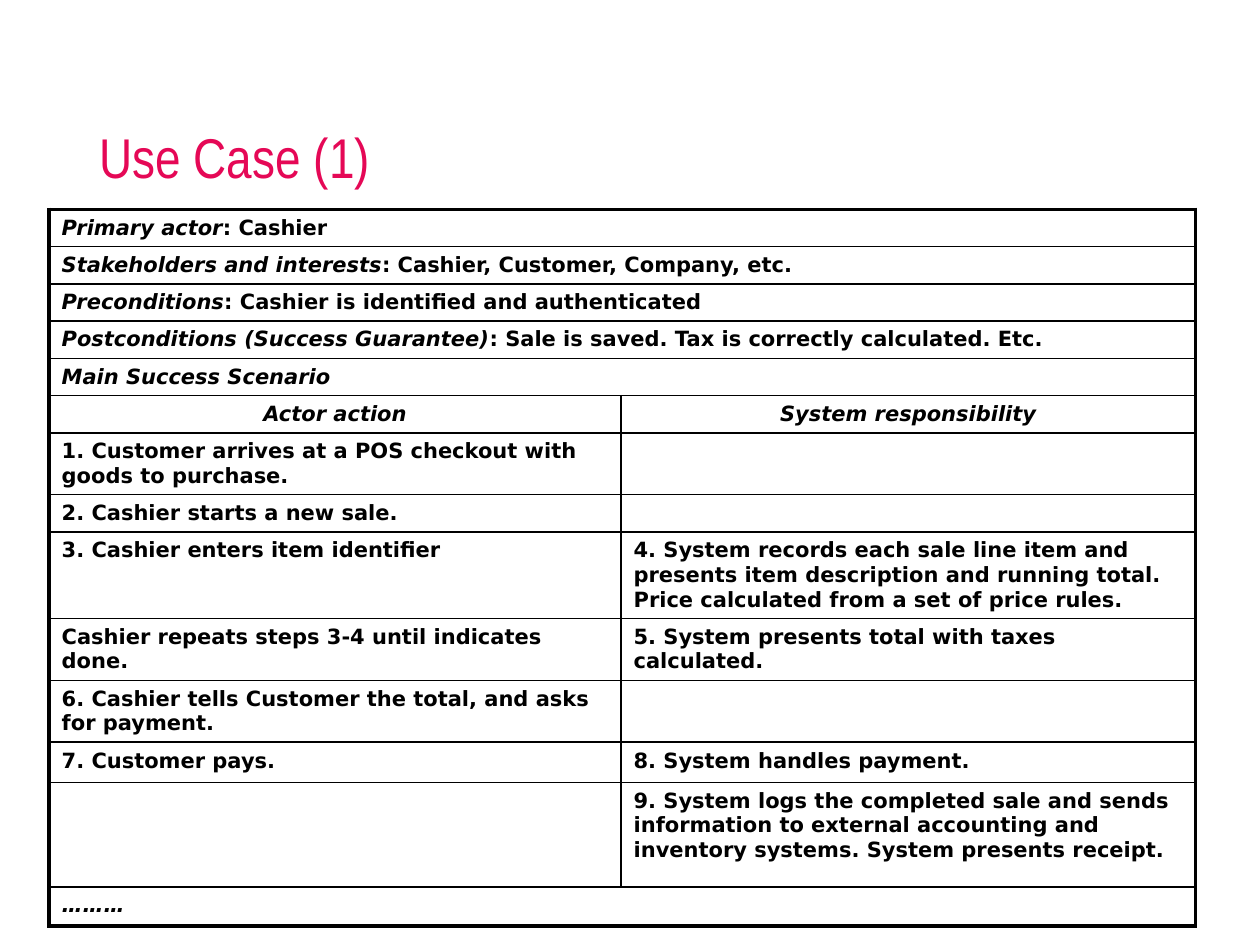
from lxml import etree
from pptx import Presentation
from pptx import util as u
from pptx.dml.color import RGBColor
from pptx.enum import text
from pptx.oxml import ns

PINK = RGBColor(0xE5, 0x08, 0x56)
BLACK = RGBColor(0, 0, 0)
WHITE = RGBColor(0xFF, 0xFF, 0xFF)
TITLE_FONT, TABLE_FONT = "Arial Narrow", "DejaVu Sans"
TEXT_SIZE, TEXT_GAP = u.Pt(12), u.Pt(2.4)
OUTER, INNER = u.Pt(2.25), u.Pt(1)

# Facts span both columns: (italic label, plain remainder)
FACTS = [
    ("Primary actor", ": Cashier"),
    ("Stakeholders and interests", ": Cashier, Customer, Company, etc."),
    ("Preconditions", ": Cashier is identified and authenticated"),
    ("Postconditions (Success Guarantee)",
     ": Sale is saved. Tax is correctly calculated. Etc."),
    ("Main Success Scenario", ""),
]
HEADINGS = ("Actor action", "System responsibility")
# Steps: (actor action, system responsibility, row height in cm)
STEPS = [
    ("1. Customer arrives at a POS checkout with goods to purchase.", "", 1.17),
    ("2. Cashier starts a new sale.", "", 0.74),
    ("3. Cashier enters item identifier",
     "4. System records each sale line item and presents item description "
     "and running total. Price calculated from a set of price rules.", 1.65),
    ("Cashier repeats steps 3-4 until indicates done.",
     "5. System presents total with taxes calculated.", 1.17),
    ("6. Cashier tells Customer the total, and asks for payment.", "", 1.17),
    ("7. Customer pays.", "8. System handles payment.", 0.81),
    ("", "9. System logs the completed sale and sends information to external "
     "accounting and inventory systems. System presents receipt.", 2.11),
]
CLOSING = ("………", "")
FACT_HEIGHT, CLOSING_HEIGHT = 0.71, 0.79


def add_title(slide, left, top, width, height):
    sp = slide.shapes.title
    sp.left, sp.top, sp.width, sp.height = left, top, width, height
    tf = sp.text_frame
    tf.text = "Use Case (1)"
    tf.auto_size = text.MSO_AUTO_SIZE.NONE
    tf.vertical_anchor = text.MSO_ANCHOR.BOTTOM
    p = tf.paragraphs[0]
    p.alignment = text.PP_ALIGN.LEFT
    p.line_spacing = 0.9
    p.font.name, p.font.size, p.font.color.rgb = TITLE_FONT, u.Pt(32), PINK


def write_cell(cell, label="", plain="", align=text.PP_ALIGN.LEFT):
    """Write an italic label followed by upright text, all bold."""
    p = cell.text_frame.paragraphs[0]
    p.alignment = align
    p.space_before = TEXT_GAP
    p.font.name, p.font.size, p.font.bold = TABLE_FONT, TEXT_SIZE, True
    p.font.color.rgb = BLACK
    for words, italic in ((label, True), (plain, False)):
        if words:
            r = p.add_run()
            r.text = words
            r.font.italic = italic
    if not p.runs:
        # An empty cell takes its line height from the end mark
        etree.SubElement(p._p, ns.qn("a:endParaRPr"),
                         sz=str(int(TEXT_SIZE.pt * 100)))


def style_cell(cell, borders):
    """Set the borders, a width for each of L, R, T and B, and the fill."""
    tc_pr = cell._tc.get_or_add_tcPr()
    for side, width in borders.items():
        ln = etree.SubElement(tc_pr, ns.qn(f"a:ln{side}"), w=str(int(width)))
        fill = etree.SubElement(ln, ns.qn("a:solidFill"))
        etree.SubElement(fill, ns.qn("a:srgbClr"), val=str(BLACK))
    cell.fill.solid()
    cell.fill.fore_color.rgb = WHITE


def add_use_case_table(slide, left, top, width, height):
    heights = ([FACT_HEIGHT] * (len(FACTS) + 1)
               + [step[2] for step in STEPS] + [CLOSING_HEIGHT])
    last = len(heights) - 1
    frame = slide.shapes.add_table(len(heights), 2, left, top, width, height)
    table = frame.table
    table.first_row = table.horz_banding = False
    table.columns[0].width = u.Cm(11.53)
    table.columns[1].width = width - u.Cm(11.53)
    for row, row_height in zip(table.rows, heights):
        row.height = u.Cm(row_height)
    frame.height = height

    wide_rows = dict(enumerate(FACTS)) | {last: CLOSING}
    for i, (label, plain) in wide_rows.items():
        table.cell(i, 0).merge(table.cell(i, 1))
        write_cell(table.cell(i, 0), label, plain)
    for j, heading in enumerate(HEADINGS):
        write_cell(table.cell(len(FACTS), j), heading,
                   align=text.PP_ALIGN.CENTER)
    for i, step in enumerate(STEPS, len(FACTS) + 1):
        for j in range(2):
            write_cell(table.cell(i, j), plain=step[j])

    for i in range(last + 1):
        for j in range(2):
            at_right = j == 1 or i in wide_rows
            style_cell(table.cell(i, j), {
                "L": OUTER if j == 0 else INNER,
                "R": OUTER if at_right else INNER,
                "T": OUTER if i == 0 else INNER,
                "B": OUTER if i == last else INNER,
            })


def main():
    prs = Presentation()
    prs.slide_width, prs.slide_height = u.Cm(25.4), u.Cm(19.05)
    slide = prs.slides.add_slide(prs.slide_layouts.get_by_name("Title Only"))
    add_title(slide, u.Cm(1.75), u.Cm(1.02), u.Cm(21.9), u.Cm(2.95))
    add_use_case_table(slide, u.Cm(0.99), u.Cm(4.22), u.Cm(23.11), u.Cm(14.71))
    prs.save("out.pptx")


if __name__ == "__main__":
    main()
